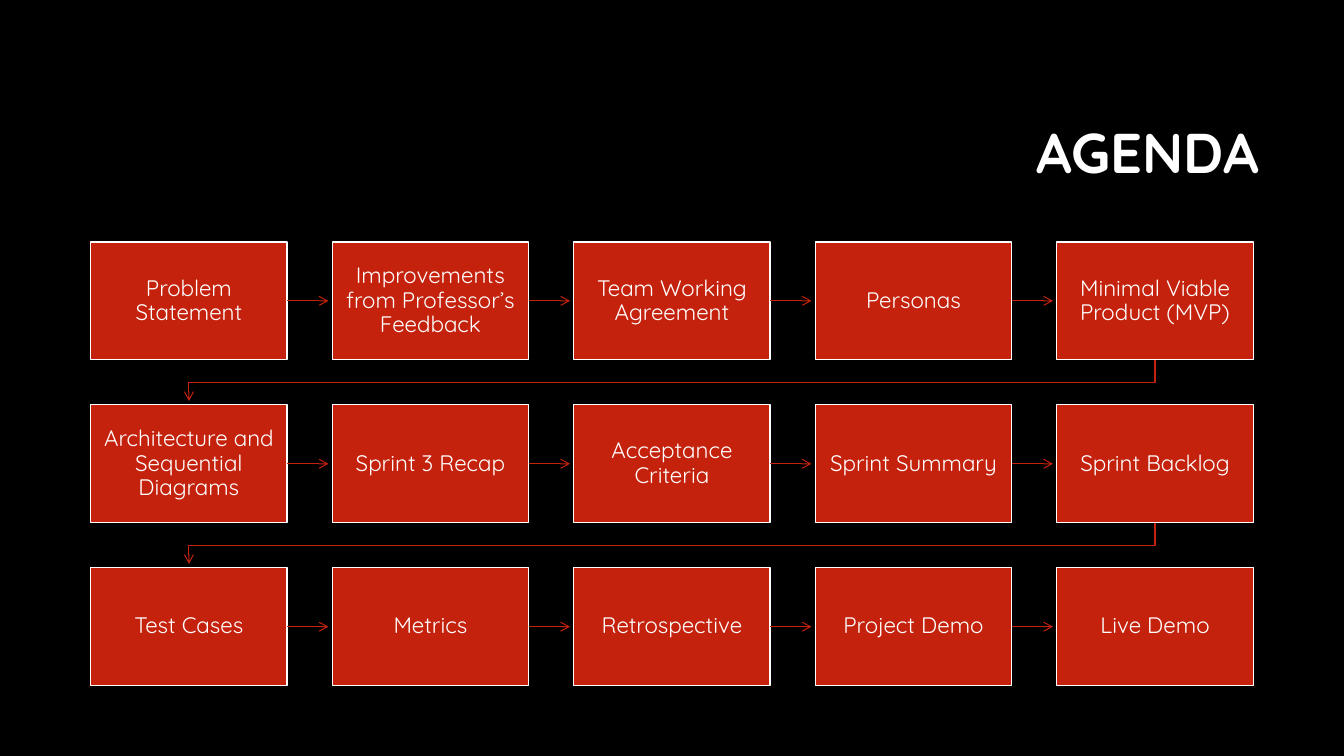
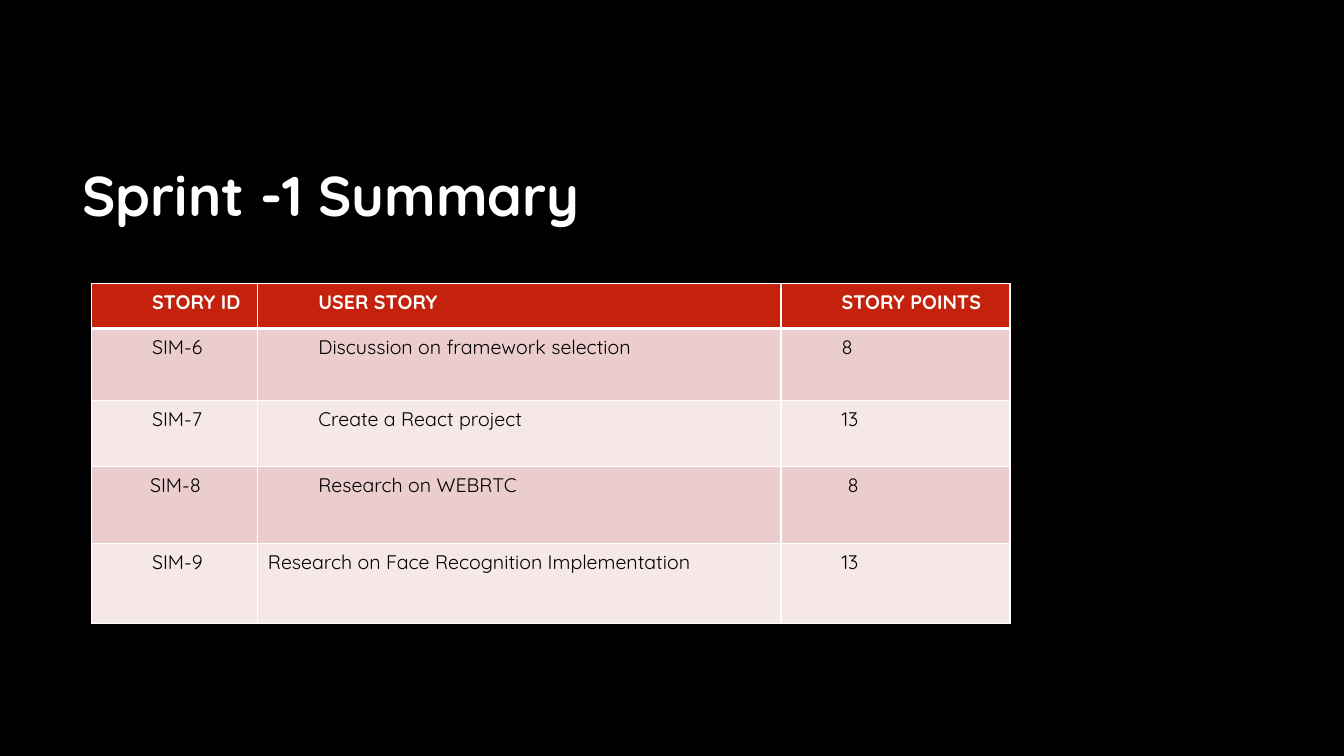
from dataclasses import dataclass

from lxml import etree
from pptx import Presentation
from pptx.dml.color import RGBColor
from pptx.enum.shapes import MSO_CONNECTOR, MSO_SHAPE
from pptx.enum.text import MSO_ANCHOR, PP_ALIGN
from pptx.oxml.ns import qn
from pptx.util import Inches, Pt

STRAIGHT = MSO_CONNECTOR.STRAIGHT
RECT = MSO_SHAPE.RECTANGLE
MIDDLE = MSO_ANCHOR.MIDDLE
LEFT, CENTER, RIGHT = PP_ALIGN.LEFT, PP_ALIGN.CENTER, PP_ALIGN.RIGHT
BLANK = 6


@dataclass(frozen=True)
class Theme:
    font: str = "Quicksand"
    back: str = "000000"
    accent: str = "C4220D"
    light: str = "FFFFFF"
    dark: str = "000000"
    bands: tuple = ("EACDCC", "F5E8E7")
    title_size: int = 40
    box_size: int = 16
    table_size: int = 14
    box_line: float = 1
    arrow_line: float = 0.75
    rule: float = 1
    header_rule: float = 3


THEME = Theme()


def rgb(color):
    return RGBColor.from_string(color)


def write(tf, text, *, size, color, bold=False, align=LEFT, spacing=0.9, indent=0):
    """Fill a text frame with one paragraph; indent is the first-line indent in inches."""
    tf.word_wrap = True
    p = tf.paragraphs[0]
    p.alignment = align
    p.line_spacing = spacing
    if indent:
        p._p.get_or_add_pPr().set("indent", str(Inches(indent)))
    r = p.add_run()
    r.text = text
    r.font.name = THEME.font
    r.font.size = Pt(size)
    r.font.bold = bold
    r.font.color.rgb = rgb(color)


def add_border(cell, side, width):
    ln = etree.SubElement(cell._tc.get_or_add_tcPr(), qn(f"a:ln{side}"), w=str(Pt(width)))
    fill = etree.SubElement(ln, qn("a:solidFill"))
    etree.SubElement(fill, qn("a:srgbClr"), val=THEME.light)


class Deck:
    """Theme and current slide; every position is a percentage of the slide's size."""

    def __init__(self, theme):
        self.theme = theme
        self.prs = Presentation()
        self.prs.slide_width, self.prs.slide_height = Inches(13.33), Inches(7.5)
        fill = self.prs.slide_master.background.fill
        fill.solid()
        fill.fore_color.rgb = rgb(theme.back)

    def new_slide(self):
        self.shapes = self.prs.slides.add_slide(self.prs.slide_layouts[BLANK]).shapes

    def x(self, share):
        return round(self.prs.slide_width * share / 100)

    def y(self, share):
        return round(self.prs.slide_height * share / 100)

    def area(self, left, top, width, height):
        return self.x(left), self.y(top), self.x(width), self.y(height)

    def title(self, text, area, align=LEFT):
        tf = self.shapes.add_textbox(*self.area(*area)).text_frame
        tf.vertical_anchor = MIDDLE
        write(tf, text, size=self.theme.title_size, color=self.theme.light,
              bold=True, align=align)

    def box(self, text, area):
        sp = self.shapes.add_shape(RECT, *self.area(*area))
        sp.shadow.inherit = False
        sp.fill.solid()
        sp.fill.fore_color.rgb = rgb(self.theme.accent)
        sp.line.color.rgb = rgb(self.theme.light)
        sp.line.width = Pt(self.theme.box_line)
        tf = sp.text_frame
        tf.vertical_anchor = MIDDLE
        tf.margin_left = tf.margin_right = tf.margin_top = tf.margin_bottom = Inches(0.1)
        write(tf, text, size=self.theme.box_size, color=self.theme.light, align=CENTER)

    def arrow(self, *points):
        """Draw a straight connector for two points, a bent line for more."""
        pts = [(self.x(x), self.y(y)) for x, y in points]
        if len(pts) == 2:
            sp = self.shapes.add_connector(STRAIGHT, *pts[0], *pts[1])
        else:
            builder = self.shapes.build_freeform(*pts[0], scale=1.0)
            builder.add_line_segments(pts[1:], close=False)
            sp = builder.convert_to_shape()
            sp.fill.background()
        sp.line.color.rgb = rgb(self.theme.accent)
        sp.line.width = Pt(self.theme.arrow_line)
        spPr = sp._element.spPr
        etree.SubElement(spPr.find(qn("a:ln")), qn("a:tailEnd"), type="arrow")
        etree.SubElement(spPr, qn("a:effectLst"))

    def table(self, rows, left, top, widths, heights, indent, indents):
        """Build a banded table; indents maps (row, column) to an exception."""
        area = self.area(left, top, sum(widths), sum(heights))
        table = self.shapes.add_table(len(rows), len(widths), *area).table
        table.horz_banding = False
        for column, width in zip(table.columns, widths):
            column.width = self.x(width)
        for i, (row, height) in enumerate(zip(rows, heights)):
            table.rows[i].height = self.y(height)
            for j, text in enumerate(row):
                self.cell(table.cell(i, j), text, i, indents.get((i, j), indent))

    def cell(self, cell, text, row, indent):
        header = row == 0
        rules = {"T": row == 1, "B": header}
        for side in "LRTB":
            thick = rules.get(side, False)
            add_border(cell, side, self.theme.header_rule if thick else self.theme.rule)
        cell.fill.solid()
        cell.fill.fore_color.rgb = rgb(
            self.theme.accent if header else self.theme.bands[(row - 1) % 2])
        write(cell.text_frame, text, size=self.theme.table_size, bold=header,
              color=self.theme.light if header else self.theme.dark,
              spacing=1.06, indent=indent)


AGENDA = [
    ["Problem Statement", "Improvements from Professor’s Feedback",
     "Team Working Agreement", "Personas", "Minimal Viable Product (MVP)"],
    ["Architecture and Sequential Diagrams", "Sprint 3 Recap",
     "Acceptance Criteria", "Sprint Summary", "Sprint Backlog"],
    ["Test Cases", "Metrics", "Retrospective", "Project Demo", "Live Demo"],
]

STORIES = [
    ["STORY ID", "USER STORY", "STORY POINTS"],
    ["SIM-6", "Discussion on framework selection", "8"],
    ["SIM-7", "Create a React project", "13"],
    ["SIM-8", "Research on WEBRTC", "8"],
    ["SIM-9", "Research on Face Recognition Implementation", "13"],
]


def agenda_slide(deck):
    deck.new_slide()
    deck.title("AGENDA", (23.78, 11.2, 70.65, 18.8), align=RIGHT)
    left, top, width, height = 6.75, 32, 14.62, 15.6
    gap_x, gap_y = 3.35, 5.95
    clear_x, clear_y = 0.28, 0.5
    last = len(AGENDA[0]) - 1
    center_first = left + width / 2
    center_last = center_first + last * (width + gap_x)
    for i, row in enumerate(AGENDA):
        y = top + i * (height + gap_y)
        bottom, middle = y + height, y + height / 2
        for j, text in enumerate(row):
            x = left + j * (width + gap_x)
            right = x + width
            deck.box(text, (x, y, width, height))
            if j < last:
                deck.arrow((right, middle), (right + gap_x - clear_x, middle))
        if i < len(AGENDA) - 1:
            turn = bottom + gap_y / 2
            deck.arrow((center_last, bottom), (center_last, turn),
                       (center_first, turn), (center_first, bottom + gap_y - clear_y))


def summary_slide(deck):
    deck.new_slide()
    deck.title("Sprint -1 Summary", (5.4, 18, 43.28, 16.4))
    deck.table(STORIES, left=6.81, top=37.45, widths=(12.38, 38.93, 17.03),
               heights=(6, 9.5, 8.8, 10.1, 10.6), indent=0.5,
               indents={(3, 0): 0.48, (3, 2): 0.56, (4, 1): 0})


def main():
    deck = Deck(THEME)
    agenda_slide(deck)
    summary_slide(deck)
    deck.prs.save("out.pptx")


if __name__ == "__main__":
    main()
